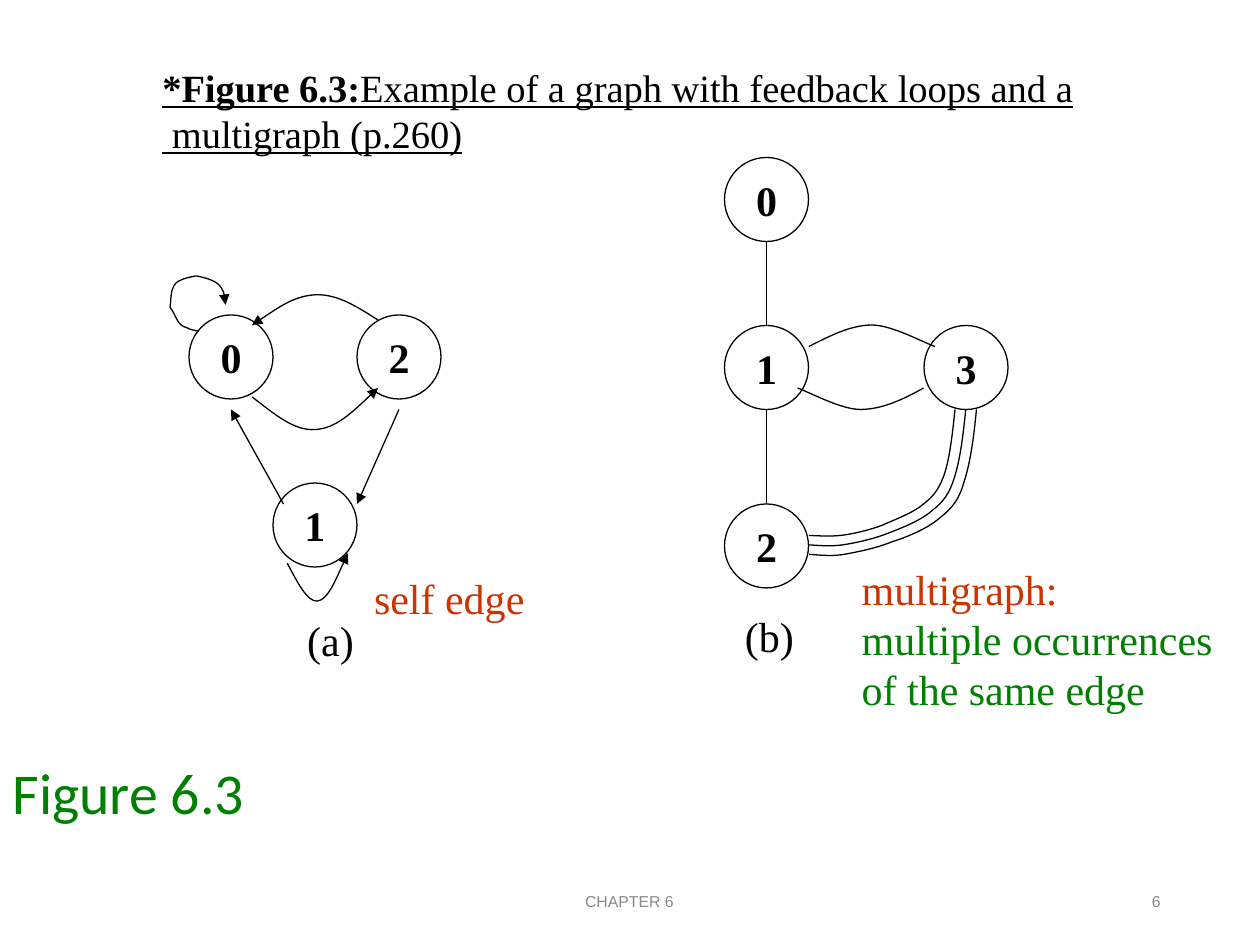
from lxml.etree import SubElement
from pptx import Presentation
from pptx.dml.color import RGBColor
from pptx.enum.shapes import MSO_CONNECTOR, MSO_SHAPE
from pptx.enum.text import MSO_ANCHOR as Anchor, MSO_AUTO_SIZE as AutoSize, PP_ALIGN as Align
from pptx.oxml.ns import qn
from pptx.util import Inches, Pt

BLACK = RGBColor(0x00, 0x00, 0x00)
GREEN = RGBColor(0x00, 0x80, 0x00)
RED = RGBColor(0xCC, 0x33, 0x00)
GRAY = RGBColor(0x89, 0x89, 0x89)
SERIF = "Times New Roman"
CELL = Inches(1) / 12  # nodes and straight edges sit on a grid of twelve cells to the inch
NODE = 8  # node diameter in cells


def write(frame, paragraphs, size, font=SERIF, align=Align.LEFT, anchor=Anchor.TOP, wrap=False):
    """Fill a text frame; each paragraph is a list of (text, colour, bold, underline)."""
    frame.word_wrap = wrap
    frame.auto_size = AutoSize.NONE
    frame.vertical_anchor = anchor
    for number, runs in enumerate(paragraphs):
        paragraph = frame.add_paragraph() if number else frame.paragraphs[0]
        paragraph.alignment = align
        for text, colour, bold, underline in runs:
            run = paragraph.add_run()
            run.text = text
            run.font.name = font
            run.font.size = Pt(size)
            run.font.bold = bold
            run.font.underline = underline
            run.font.color.rgb = colour


def add_curve(shapes, points):
    """Draw a chain of cubic Bezier segments: a start, then three points per segment."""
    start, *rest = [(Inches(x), Inches(y)) for x, y in points]
    builder = shapes.build_freeform(*start)
    builder.add_line_segments(rest, close=False)
    curve = builder.convert_to_shape()
    curve.fill.background()
    outline = curve.element.spPr.find(".//" + qn("a:path"))
    for number, corner in enumerate(outline.findall(qn("a:lnTo"))):
        if number % 3 == 0:
            segment = SubElement(outline, qn("a:cubicBezTo"))
        segment.append(corner[0])
        outline.remove(corner)
    return curve


deck = Presentation()
deck.slide_width, deck.slide_height = Inches(10), Inches(7.5)
slide = deck.slides.add_slide(deck.slide_layouts[5])
shapes = slide.shapes

# Footer and slide number
for text, left, width, align in [("CHAPTER 6", 3.31, 3.37, Align.CENTER),
                                 ("6", 7.06, 2.25, Align.RIGHT)]:
    footer = shapes.add_textbox(Inches(left), Inches(6.95), Inches(width), Inches(0.4))
    write(footer.text_frame, [[(text, GRAY, False, False)]], 9, "Arial", align,
          Anchor.MIDDLE, True)

# Title
title = shapes.title
title.left, title.top, title.width, title.height = (Inches(v) for v in (0, 5.69, 8.5, 1.25))
write(title.text_frame, [[("Figure 6.3", GREEN, False, False)]], 33, "Calibri",
      anchor=Anchor.MIDDLE, wrap=True)
title.text_frame.paragraphs[0].line_spacing = 0.9

# Nodes of graph (a), then of graph (b): label, column, row
nodes = [("0", 18, 30), ("2", 34, 30), ("1", 26, 46),
         ("2", 69, 48), ("1", 69, 31), ("0", 69, 15), ("3", 88, 31)]
for label, column, row in nodes:
    node = shapes.add_shape(MSO_SHAPE.OVAL, *(round(v * CELL) for v in (column, row, NODE, NODE)))
    node.shadow.inherit = False
    node.fill.background()
    node.line.color.rgb = BLACK
    node.line.width = Pt(0.75)
    write(node.text_frame, [[(label, BLACK, True, False)]], 24,
          align=Align.CENTER, anchor=Anchor.MIDDLE)

# Directed edges of graph (a): straight ones in cells, curved ones in inches
directed = [
    [(27, 48), (22, 39)],
    [(38, 39), (34, 48)],
    [(1.58, 2.63), (1.55, 2.62), (1.51, 2.62), (1.48, 2.6), (1.4, 2.58), (1.4, 2.5),
     (1.35, 2.44), (1.36, 2.38), (1.35, 2.32), (1.38, 2.27), (1.4, 2.21), (1.56, 2.19),
     (1.56, 2.19), (1.7, 2.22), (1.79, 2.26), (1.79, 2.42)],
    [(3, 2.54), (2.83, 2.43), (2.67, 2.33), (2.5, 2.34), (2.33, 2.35), (2.17, 2.47), (2, 2.58)],
    [(2, 3.15), (2.17, 3.28), (2.33, 3.42), (2.5, 3.41), (2.67, 3.4), (2.83, 3.24), (3, 3.08)],
    [(2.28, 4.47), (2.36, 4.62), (2.44, 4.78), (2.52, 4.77), (2.6, 4.76), (2.68, 4.57),
     (2.76, 4.39)],
]

# Undirected edges of graph (b); the middle of the triple edge runs halfway
inner = [(7.58, 3.25), (7.56, 3.44), (7.54, 3.62), (7.5, 3.75), (7.46, 3.87), (7.42, 3.93),
         (7.33, 4), (7.25, 4.07), (7.11, 4.12), (7, 4.17), (6.89, 4.21), (6.76, 4.24),
         (6.67, 4.25), (6.57, 4.26), (6.46, 4.25), (6.42, 4.25)]
outer = [(7.75, 3.25), (7.73, 3.47), (7.7, 3.68), (7.65, 3.83), (7.61, 3.97), (7.56, 4.03),
         (7.46, 4.11), (7.37, 4.19), (7.21, 4.26), (7.08, 4.3), (6.96, 4.35), (6.81, 4.38),
         (6.7, 4.4), (6.59, 4.42), (6.46, 4.4), (6.42, 4.4)]
middle = [((x1 + x2) / 2, (y1 + y2) / 2) for (x1, y1), (x2, y2) in zip(inner, outer)]
undirected = [
    [(73, 23), (73, 31)],
    [(73, 39), (73, 48)],
    [(6.42, 2.75), (6.58, 2.67), (6.75, 2.58), (6.92, 2.58), (7.08, 2.58), (7.33, 2.72),
     (7.42, 2.75)],
    [(7.33, 3.08), (7.17, 3.17), (7, 3.25), (6.83, 3.25), (6.67, 3.25), (6.42, 3.11),
     (6.33, 3.08)],
    inner, middle, outer,
]

for number, points in enumerate(directed + undirected):
    if len(points) == 2:
        edge = shapes.add_connector(MSO_CONNECTOR.STRAIGHT,
                                    *(round(v * CELL) for point in points for v in point))
    else:
        edge = add_curve(shapes, points)
    edge.line.color.rgb = BLACK
    edge.line.width = Pt(0.75)
    properties = edge.element.spPr
    if number < len(directed):
        SubElement(properties.find(qn("a:ln")), qn("a:tailEnd"), type="triangle")
    SubElement(properties, qn("a:effectLst"))

# Heading, graph captions and remarks: left, top, width, height, size, anchor, paragraphs
captions = [
    (1.19, 0.46, 7.43, 0.84, 22, Anchor.TOP,
     [[("*Figure 6.3:", BLACK, True, True),
       ("Example of a graph with feedback loops and a", BLACK, False, True)],
      [(" multigraph (p.260)", BLACK, False, True)]]),
    (2.34, 4.83, 0.57, 0.5, 24, Anchor.TOP, [[("(a)", BLACK, False, False)]]),
    (5.73, 4.8, 0.67, 0.5, 24, Anchor.TOP, [[(" (b)", BLACK, False, False)]]),
    (2.87, 4.49, 1.39, 0.5, 24, Anchor.MIDDLE, [[("self edge", RED, False, False)]]),
    (6.74, 4.42, 2.98, 1.3, 24, Anchor.MIDDLE,
     [[("multigraph:", RED, False, False)],
      [("multiple occurrences", GREEN, False, False)],
      [("of the same edge", GREEN, False, False)]]),
]
for *box, size, anchor, paragraphs in captions:
    caption = shapes.add_textbox(*(Inches(v) for v in box))
    write(caption.text_frame, paragraphs, size, anchor=anchor)

deck.save("out.pptx")
